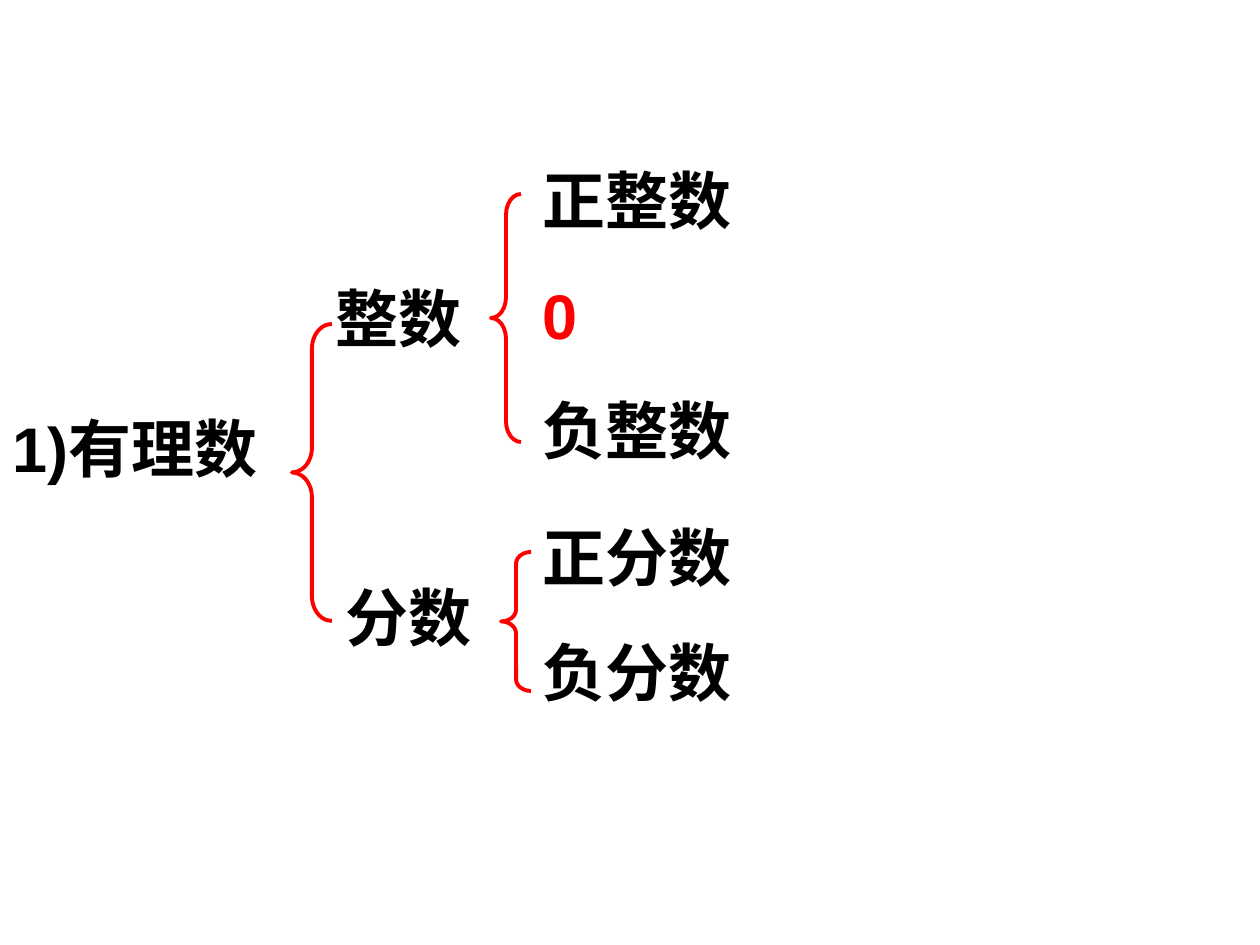
from dataclasses import dataclass

from pptx import Presentation
from pptx import util as u
from pptx.dml.color import RGBColor
from pptx.enum import shapes, text

EMU_PER_PX = 914400 / 126
COLORS = {"ink": "000000", "accent": "FF0000"}
FONT_FORMAT = {"name": "Arial", "size": u.Pt(36), "bold": True}
FRAME_FORMAT = {"word_wrap": True, "auto_size": text.MSO_AUTO_SIZE.SHAPE_TO_FIT_TEXT}


@dataclass(frozen=True)
class Box:
    left: int
    top: int
    width: int
    height: int

    def emu(self) -> list[int]:
        return [px(n) for n in (self.left, self.top, self.width, self.height)]


@dataclass(frozen=True)
class Label:
    box: Box
    terms: tuple[str, ...]


def px(length: int) -> int:
    return round(length * EMU_PER_PX)


def color(key: str) -> RGBColor:
    return RGBColor.from_string(COLORS[key])


def draw_label(slide, label: Label) -> None:
    frame = slide.shapes.add_textbox(*label.box.emu()).text_frame
    for attribute, value in FRAME_FORMAT.items():
        setattr(frame, attribute, value)
    for index, term in enumerate(label.terms):
        line = frame.add_paragraph() if index else frame.paragraphs[0]
        if index:
            line.space_before = u.Pt(22.5)
        run = line.add_run()
        run.text = term
        for attribute, value in FONT_FORMAT.items():
            setattr(run.font, attribute, value)
        run.font.color.rgb = color("accent" if term == "0" else "ink")


def draw_brace(slide, box: Box) -> None:
    brace = slide.shapes.add_shape(shapes.MSO_SHAPE.LEFT_BRACE, *box.emu())
    # Each curve is one twelfth of the brace's height
    brace.adjustments[0] = round(box.height / 12 / box.width, 2)
    brace.shadow.inherit = False
    brace.fill.background()
    brace.line.color.rgb = color("accent")
    brace.line.width = u.Pt(2.25)


LABELS = (
    # Root
    Label(Box(0, 403, 292, 88), ("1)有理数",)),
    # Branches
    Label(Box(323, 273, 169, 88), ("整数",)),
    Label(Box(333, 572, 169, 88), ("分数",)),
    # Leaves
    Label(Box(530, 155, 318, 319), ("正整数", "0", "负整数")),
    Label(Box(530, 512, 318, 204), ("正分数", "负分数")),
)
BRACES = (
    Box(292, 324, 40, 297),
    Box(491, 194, 30, 248),
    Box(501, 552, 30, 139),
)


def main() -> None:
    deck = Presentation()
    deck.slide_width, deck.slide_height = px(1260), px(945)
    slide = deck.slides.add_slide(deck.slide_layouts[6])
    for label in LABELS:
        draw_label(slide, label)
    for brace in BRACES:
        draw_brace(slide, brace)
    deck.save("out.pptx")


if __name__ == "__main__":
    main()
